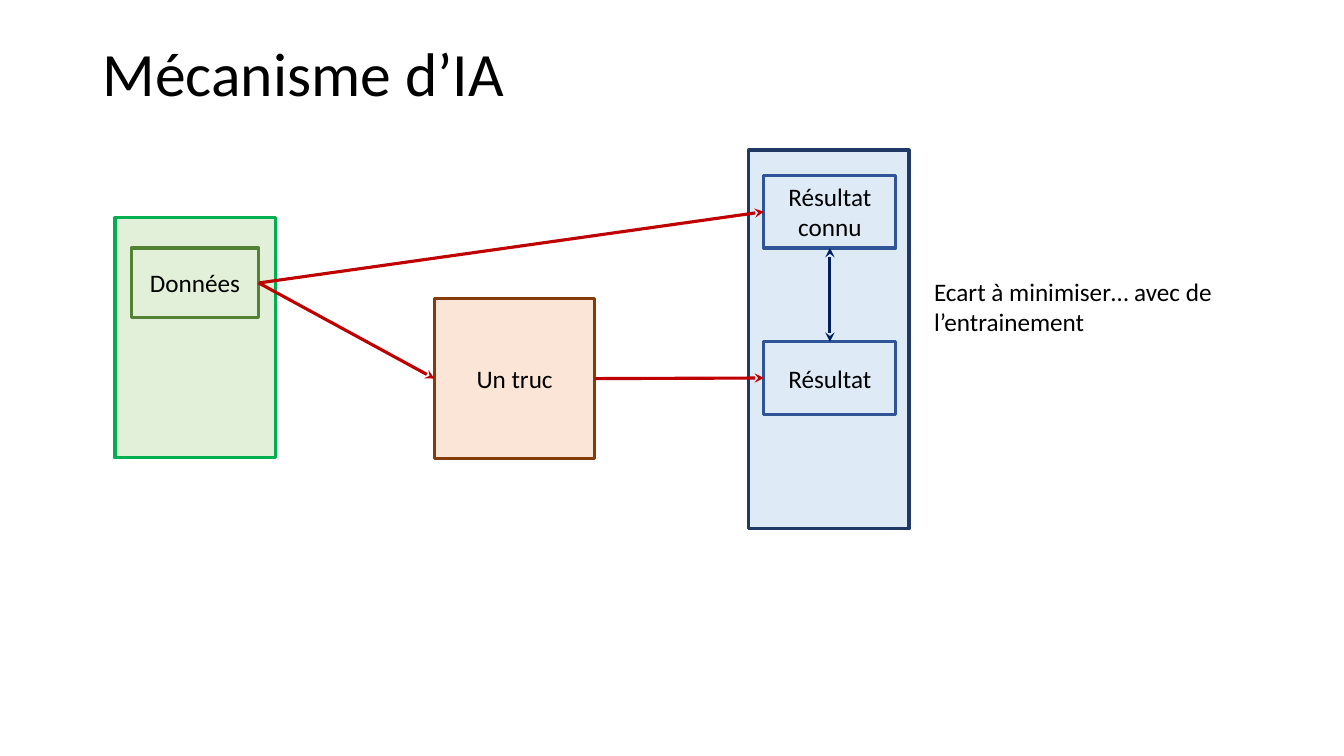
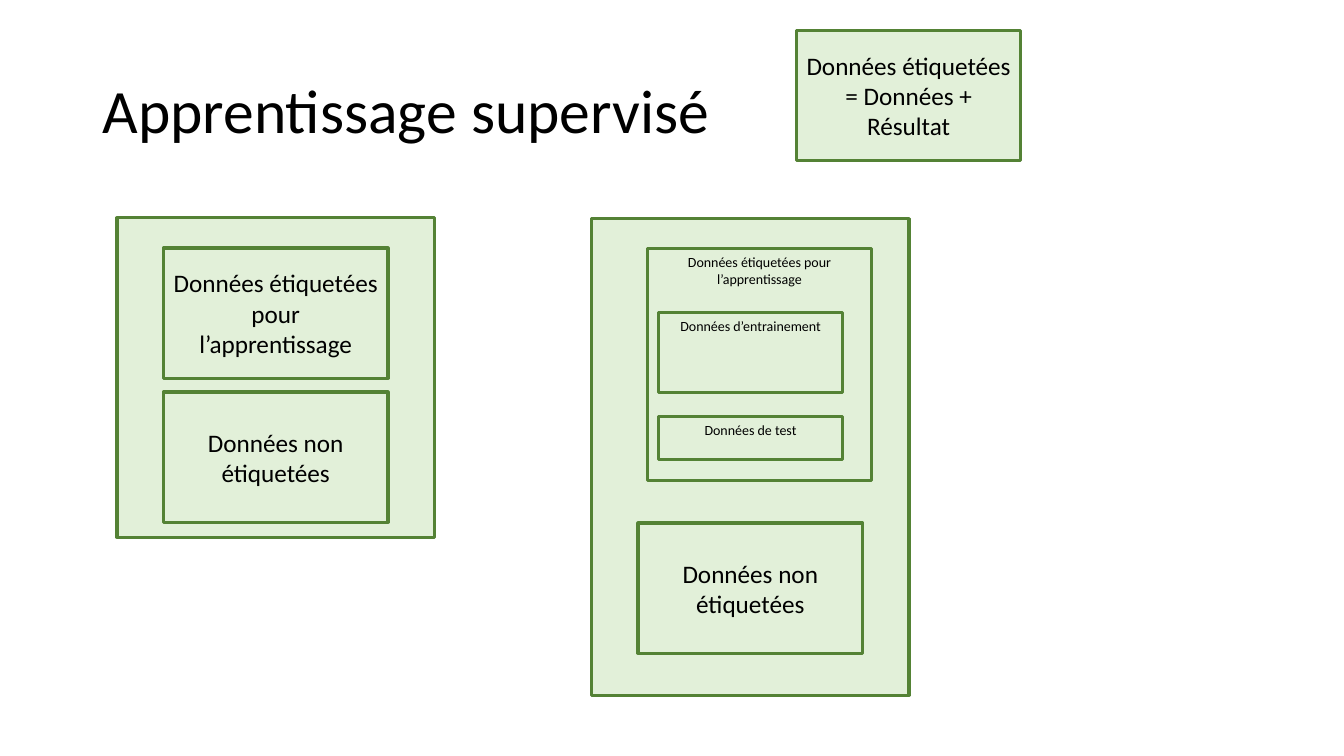
from dataclasses import dataclass

from lxml.etree import SubElement
from pptx import Presentation
from pptx.dml.color import RGBColor
from pptx.enum.shapes import MSO_CONNECTOR as Connector, MSO_SHAPE as Shape
from pptx.enum.text import MSO_ANCHOR as Anchor, MSO_AUTO_SIZE as AutoSize, PP_ALIGN as Align
from pptx.oxml.ns import qn
from pptx.util import Cm, Pt

# Shared style
FONT = "Calibri"
BLACK = "000000"
GREEN = ("E2F0D9", "548235")  # fill, line
BRIGHT_GREEN = ("E2F0D9", "00B050")
ORANGE = ("FBE5D6", "843C0B")
NAVY = ("DEEBF7", "203864")
BLUE = ("DEEBF7", "2F5597")
RED_ARROW, NAVY_ARROW = "C00000", "002060"
LINE_WIDTH = Pt(2.25)
TOP, LEFT, BOTTOM, RIGHT = range(4)  # connection sites of a rectangle


@dataclass
class Box:
    """Lengths in centimetres."""
    left: float
    top: float
    width: float
    height: float

    def inside(self, dx, dy, width, height):
        return Box(self.left + dx, self.top + dy, width, height)

    def lengths(self):
        return [Cm(n) for n in (self.left, self.top, self.width, self.height)]


TITLE_BOX = Box(2.33, 1.02, 29.21, 3.68)


def rgb(code):
    return RGBColor.from_string(code)


def write(frame, text, size, align, anchor):
    frame.word_wrap = True
    frame.vertical_anchor = anchor
    frame.text = text
    paragraph = frame.paragraphs[0]
    paragraph.alignment = align
    paragraph.font.name = FONT
    paragraph.font.size = Pt(size)
    paragraph.font.color.rgb = rgb(BLACK)
    return paragraph


def add_titled_slide(deck, text, bottom_inset=0.13):
    slide = deck.slides.add_slide(deck.slide_layouts[5])
    title = slide.shapes.title
    title.left, title.top, title.width, title.height = TITLE_BOX.lengths()
    heading = write(title.text_frame, text, 44, Align.LEFT, Anchor.MIDDLE)
    heading.line_spacing = 0.9
    title.text_frame.auto_size = AutoSize.NONE
    title.text_frame.margin_bottom = Cm(bottom_inset)
    return slide


def add_card(slide, box, colours, text="", size=18, anchor=Anchor.MIDDLE):
    fill, line = colours
    card = slide.shapes.add_shape(Shape.RECTANGLE, *box.lengths())
    card.shadow.inherit = False
    card.fill.solid()
    card.fill.fore_color.rgb = rgb(fill)
    card.line.color.rgb = rgb(line)
    card.line.width = LINE_WIDTH
    if text:
        write(card.text_frame, text, size, Align.CENTER, anchor)
    return card


def add_arrow(slide, source, source_site, target, target_site, colour, ends=("tailEnd",)):
    arrow = slide.shapes.add_connector(Connector.STRAIGHT, 0, 0, 0, 0)
    arrow.begin_connect(source, source_site)
    arrow.end_connect(target, target_site)
    arrow.line.color.rgb = rgb(colour)
    arrow.line.width = LINE_WIDTH
    outline = arrow.line._get_or_add_ln()
    for end in ends:
        SubElement(outline, qn("a:" + end), type="stealth")
    SubElement(arrow._element.spPr, qn("a:effectLst"))


# Slide 1: AI mechanism
def data_panel(slide, box):
    add_card(slide, box, BRIGHT_GREEN)
    return add_card(slide, box.inside(0.41, 0.76, 3.21, 1.76), GREEN, "Données")


def result_panel(slide, box):
    add_card(slide, box, NAVY)
    return [add_card(slide, box.inside(0.38, dy, 3.33, 1.83), BLUE, text)
            for dy, text in ((0.64, "Résultat connu"), (4.83, "Résultat"))]


def gap_note(slide, box):
    note = slide.shapes.add_textbox(*box.lengths())
    write(note.text_frame, "Ecart à minimiser… avec de l’entrainement",
          18, Align.LEFT, Anchor.TOP)


def mechanism_slide(deck):
    slide = add_titled_slide(deck, "Mécanisme d’IA", bottom_inset=1.98)
    data = data_panel(slide, Box(2.9, 5.49, 4.04, 6.05))
    thing = add_card(slide, Box(10.95, 7.52, 4.04, 4.04), ORANGE, "Un truc")
    known, result = result_panel(slide, Box(18.87, 3.78, 4.04, 9.55))
    for source, target in ((data, known), (data, thing), (thing, result)):
        add_arrow(slide, source, RIGHT, target, LEFT, RED_ARROW)
    add_arrow(slide, result, TOP, known, BOTTOM, NAVY_ARROW, ("headEnd", "tailEnd"))
    gap_note(slide, Box(23.29, 6.83, 8.31, 1.8))


# Slide 2: supervised learning
CARD_SIZE = (5.66, 3.28)
LABELLED = "Données étiquetées pour l’apprentissage"
UNLABELLED = "Données non étiquetées"


def labelling_panel(slide, box):
    add_card(slide, box, GREEN)
    for row, text in enumerate((LABELLED, UNLABELLED)):
        add_card(slide, box.inside(1.17, 0.76 + row * 3.63, *CARD_SIZE), GREEN, text)


def split_panel(slide, box):
    add_card(slide, box, GREEN)
    labelled = box.inside(1.4, 0.76, 5.66, 5.84)
    parts = ((labelled, LABELLED),
             (labelled.inside(0.28, 1.6, 4.65, 2.03), "Données d’entrainement"),
             (labelled.inside(0.28, 4.22, 4.65, 1.09), "Données de test"))
    for part, text in parts:
        add_card(slide, part, GREEN, text, 10, Anchor.TOP)
    add_card(slide, box.inside(1.17, 7.67, *CARD_SIZE), GREEN, UNLABELLED)


def supervised_slide(deck):
    slide = add_titled_slide(deck, "Apprentissage supervisé")
    labelling_panel(slide, Box(2.95, 5.49, 8, 8.05))
    add_card(slide, Box(20.07, 0.76, *CARD_SIZE), GREEN,
             "Données étiquetées = Données + Résultat")
    split_panel(slide, Box(14.91, 5.51, 8, 12.01))


deck = Presentation()
deck.slide_width, deck.slide_height = Cm(33.87), Cm(19.05)
mechanism_slide(deck)
supervised_slide(deck)
deck.save("out.pptx")
